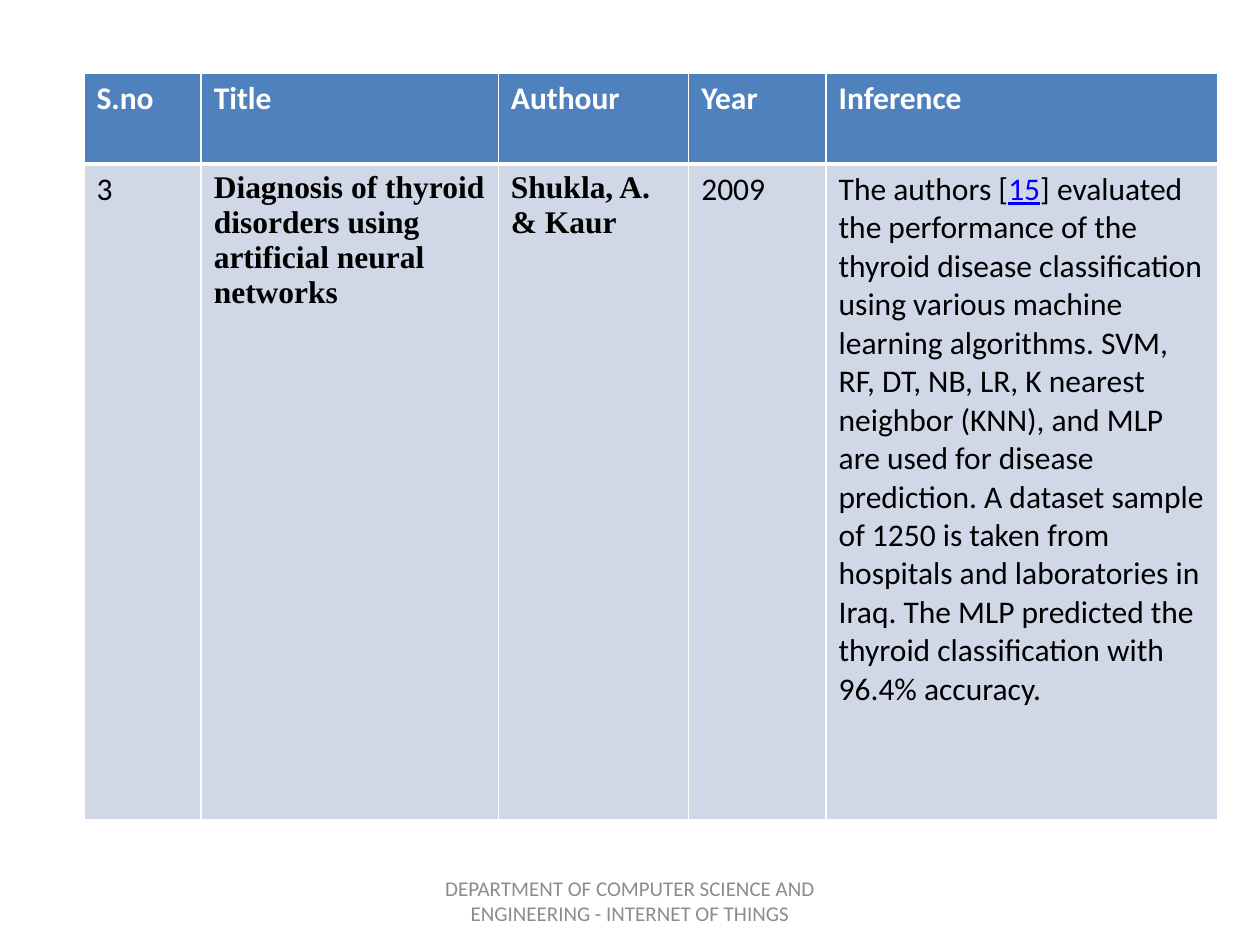
from lxml.etree import SubElement
from pptx import Presentation
from pptx.dml.color import RGBColor
from pptx.enum.text import MSO_ANCHOR, PP_ALIGN
from pptx.oxml.ns import qn
from pptx.util import Pt

COLORS = {
    "header": "4F81BD",
    "body": "D0D8E8",
    "border": "FFFFFF",
    "header_text": "FFFFFF",
    "body_text": "000000",
    "citation": "0000FF",
    "footer": "8C8C8C",
}
COLUMN_WIDTHS = [67, 169.8, 108.8, 78.5, 223.9]
ROW_HEIGHTS = [51.8, 374.4]
SERIF_COLUMNS = (1, 2)

# Each cell is a list of runs
ROWS = [
    [["S.no"], ["Title"], ["Authour"], ["Year"], ["Inference"]],
    [
        ["3"],
        ["Diagnosis of thyroid disorders using artificial neural networks"],
        ["Shukla, A. & Kaur"],
        ["2009"],
        [
            "The authors [",
            "15",
            "] evaluated the performance of the thyroid disease classification "
            "using various machine learning algorithms. SVM, RF, DT, NB, LR, "
            "K nearest neighbor (KNN), and MLP are used for disease prediction. "
            "A dataset sample of 1250 is taken from hospitals and laboratories "
            "in Iraq. The MLP predicted the thyroid classification with 96.4% "
            "accuracy.",
        ],
    ],
]


def style_run(run, size, color, name="Calibri", bold=False):
    run.font.size = Pt(size)
    run.font.name = name
    run.font.bold = bold
    run.font.color.rgb = RGBColor.from_string(COLORS[color])


def set_borders(cell, widths):
    """Draw the left, right, top and bottom borders, which must precede the fill."""
    properties = cell._tc.get_or_add_tcPr()
    for index, (side, width) in enumerate(zip("LRTB", widths)):
        line = SubElement(properties, qn(f"a:ln{side}"), w=str(Pt(width)))
        fill = SubElement(line, qn("a:solidFill"))
        SubElement(fill, qn("a:srgbClr"), val=COLORS["border"])
        properties.insert(index, line)


presentation = Presentation()
presentation.slide_width = Pt(720)
presentation.slide_height = Pt(540)
slide = presentation.slides.add_slide(presentation.slide_layouts[6])

# Footer
footer = slide.shapes.add_textbox(Pt(246), Pt(500.5), Pt(228), Pt(28.75))
text_frame = footer.text_frame
text_frame.word_wrap = True
text_frame.vertical_anchor = MSO_ANCHOR.MIDDLE
text_frame.text = "DEPARTMENT OF COMPUTER SCIENCE AND ENGINEERING - INTERNET OF THINGS"
paragraph = text_frame.paragraphs[0]
paragraph.alignment = PP_ALIGN.CENTER
style_run(paragraph.runs[0], 12, "footer")

# Literature table
table = slide.shapes.add_table(
    len(ROWS), len(COLUMN_WIDTHS), Pt(48), Pt(42), Pt(sum(COLUMN_WIDTHS)), Pt(sum(ROW_HEIGHTS))
).table
for column, width in zip(table.columns, COLUMN_WIDTHS):
    column.width = Pt(width)
for row, height in zip(table.rows, ROW_HEIGHTS):
    row.height = Pt(height)

for row_index, row_texts in enumerate(ROWS):
    is_header = row_index == 0
    kind = "header" if is_header else "body"
    for column_index, run_texts in enumerate(row_texts):
        cell = table.cell(row_index, column_index)
        cell.fill.solid()
        cell.fill.fore_color.rgb = RGBColor.from_string(COLORS[kind])
        set_borders(cell, (1, 1, 1, 3) if is_header else (1, 1, 3, 1))
        is_serif = not is_header and column_index in SERIF_COLUMNS
        font_name = "Times New Roman" if is_serif else "Calibri"
        for text in run_texts:
            run = cell.text_frame.paragraphs[0].add_run()
            run.text = text
            style_run(run, 18, f"{kind}_text", font_name, is_header or is_serif)

citation = table.cell(1, 4).text_frame.paragraphs[0].runs[1]
citation.font.color.rgb = RGBColor.from_string(COLORS["citation"])
citation.font.underline = True

presentation.save("out.pptx")
